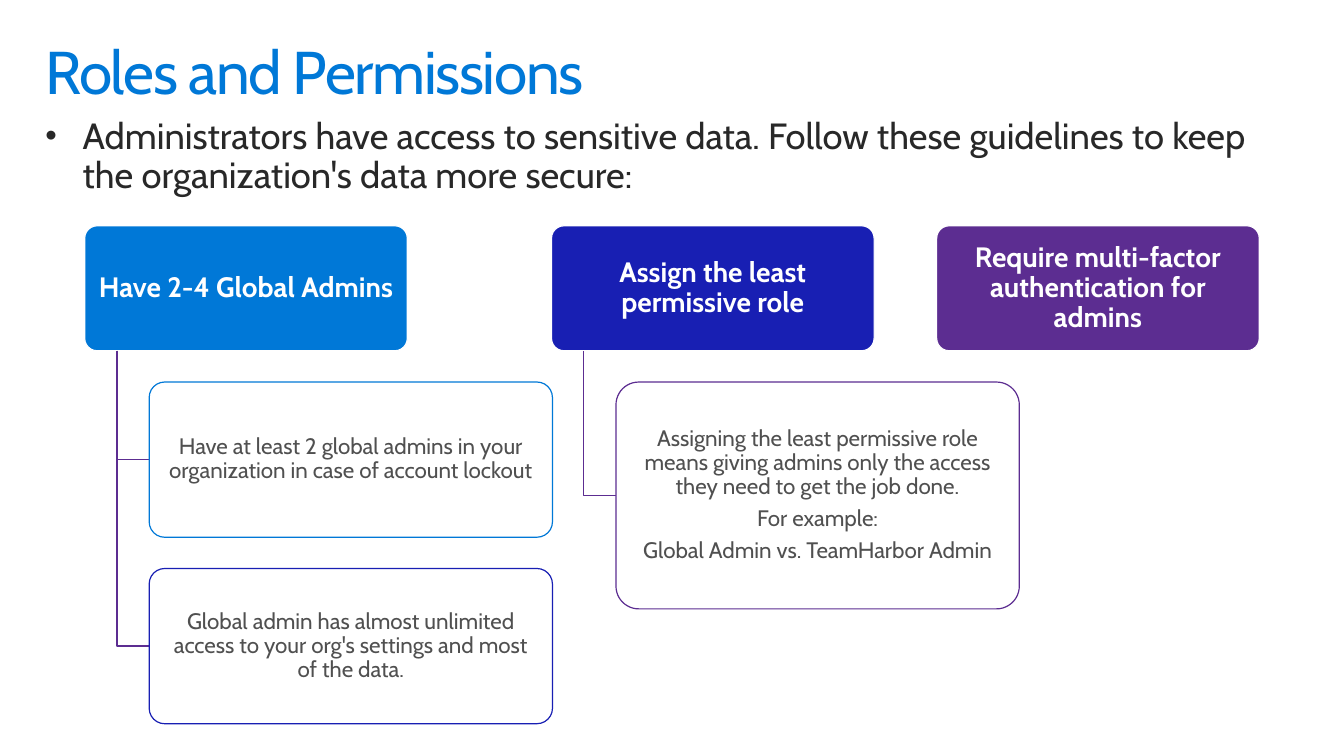
import pptx
import pptx.util
import pptx.dml.color
import pptx.enum.shapes
import pptx.enum.text
import pptx.oxml.ns
import pptx.oxml.xmlchemy

Inches = pptx.util.Inches
Pt = pptx.util.Pt
ALIGN = pptx.enum.text.PP_ALIGN
ANCHOR = pptx.enum.text.MSO_ANCHOR

HUES = {
    "blue": "0078D7",
    "navy": "181FB3",
    "plum": "5C2D91",
    "white": "FFFFFF",
    "ink": "282828",
    "gray": "505050",
}
HEAD = (3.2, 1.24)
WIDE = 4
GAP = 0.31
STEM = 0.32
THIN = 0.85

BRANCHES = [
    (0.84, "blue", "Have 2-4 Global Admins", [
        ("blue", 1.54, ["Have at least 2 global admins in your organization in case of account lockout"]),
        ("navy", 1.54, ["Global admin has almost unlimited access to your org's settings and most of the data."]),
    ]),
    (5.47, "navy", "Assign the least permissive role", [
        ("plum", 2.25, [
            "Assigning the least permissive role means giving admins only the access they need to get the job done.",
            "For example:",
            "Global Admin vs. TeamHarbor Admin",
        ]),
    ]),
    (9.29, "plum", "Require multi-factor authentication for admins", []),
]


def hue(name):
    return pptx.dml.color.RGBColor.from_string(HUES[name])


def add_tag(parent, tag, key, value):
    item = pptx.oxml.xmlchemy.OxmlElement("a:" + tag)
    item.set(key, value)
    parent.append(item)


def setup(frame, side, top, anchor):
    frame.word_wrap = True
    frame.auto_size = pptx.enum.text.MSO_AUTO_SIZE.NONE
    frame.vertical_anchor = anchor
    frame.margin_left = frame.margin_right = Inches(side)
    frame.margin_top = frame.margin_bottom = Inches(top)


def write(para, text, size, color, align, bold=False):
    para.alignment = align
    para.line_spacing = 0.9
    run = para.add_run()
    run.text = text
    run.font.name = "Cabin"
    run.font.size = Pt(size)
    run.font.bold = bold
    run.font.color.rgb = hue(color)
    return run


def put_title(slide, left, top, width, height):
    title = slide.shapes.title
    title.left, title.top = Inches(left), Inches(top)
    title.width, title.height = Inches(width), Inches(height)
    setup(title.text_frame, 0.16, 0.1, ANCHOR.TOP)
    run = write(title.text_frame.paragraphs[0], "Roles and Permissions", 43.1, "blue", ALIGN.LEFT)
    run.font._element.set("spc", "-100")


def put_intro(slide, left, top, width, height):
    box = slide.shapes.add_textbox(Inches(left), Inches(top), Inches(width), Inches(height))
    setup(box.text_frame, 0.16, 0.1, ANCHOR.TOP)
    para = box.text_frame.paragraphs[0]
    write(para, "Administrators have access to sensitive data. Follow these guidelines "
          "to keep the organization's data more secure:", 26, "ink", ALIGN.LEFT)
    para.space_before = Pt(5.2)
    props = para._p.get_or_add_pPr()
    props.set("marL", str(Inches(0.37)))
    props.set("indent", str(-Inches(0.37)))
    add_tag(props, "buSzPct", "val", "90000")
    add_tag(props, "buFont", "typeface", "Arial")
    add_tag(props, "buChar", "char", "•")


def put_card(slide, left, top, width, height, fill, edge, lines, size, color, bold=False):
    card = slide.shapes.add_shape(
        pptx.enum.shapes.MSO_SHAPE.ROUNDED_RECTANGLE,
        Inches(left), Inches(top), Inches(width), Inches(height))
    card.shadow.inherit = False
    card.adjustments[0] = 0.1
    card.fill.solid()
    card.fill.fore_color.rgb = hue(fill)
    card.line.color.rgb = hue(edge)
    card.line.width = Pt(THIN)
    frame = card.text_frame
    setup(frame, 0.08, 0.06, ANCHOR.MIDDLE)
    for i, line in enumerate(lines):
        para = frame.add_paragraph() if i else frame.paragraphs[0]
        write(para, line, size, color, ALIGN.CENTER, bold)
        para.space_after = Pt(size * 0.35)
    return card


def fade(card, share):
    tone = card._element.spPr.find(pptx.oxml.ns.qn("a:solidFill"))[0]
    add_tag(tone, "alpha", "val", str(share * 1000))


def put_elbow(slide, left, top, width, height):
    x, y = Inches(left), Inches(top)
    low = Inches(top + height)
    pen = slide.shapes.build_freeform(x, y)
    pen.add_line_segments([(x, low), (Inches(left + width), low)], close=False)
    elbow = pen.convert_to_shape()
    elbow.shadow.inherit = False
    elbow.fill.background()
    elbow.line.color.rgb = hue("plum")
    elbow.line.width = Pt(THIN)


def put_branch(slide, left, top, color, head, notes):
    width, height = HEAD
    put_card(slide, left, top, width, height, color, "white", [head], 20, "white", True)
    base = top + height
    next_top = base + GAP
    for edge, tall, lines in notes:
        put_elbow(slide, left + STEM, base, STEM, next_top + tall / 2 - base)
        card = put_card(slide, left + 2 * STEM, next_top, WIDE, tall, "white", edge, lines, 16, "gray")
        fade(card, 90)
        next_top += tall + GAP


def main():
    deck = pptx.Presentation()
    deck.slide_width = Inches(13.33)
    deck.slide_height = Inches(7.5)
    slide = deck.slides.add_slide(deck.slide_layouts[5])
    put_title(slide, 0.29, 0.32, 12.75, 0.98)
    put_intro(slide, 0.29, 1.07, 12.75, 1.47)
    for left, color, head, notes in BRANCHES:
        put_branch(slide, left, 2.24, color, head, notes)
    deck.save("out.pptx")


if __name__ == "__main__":
    main()
